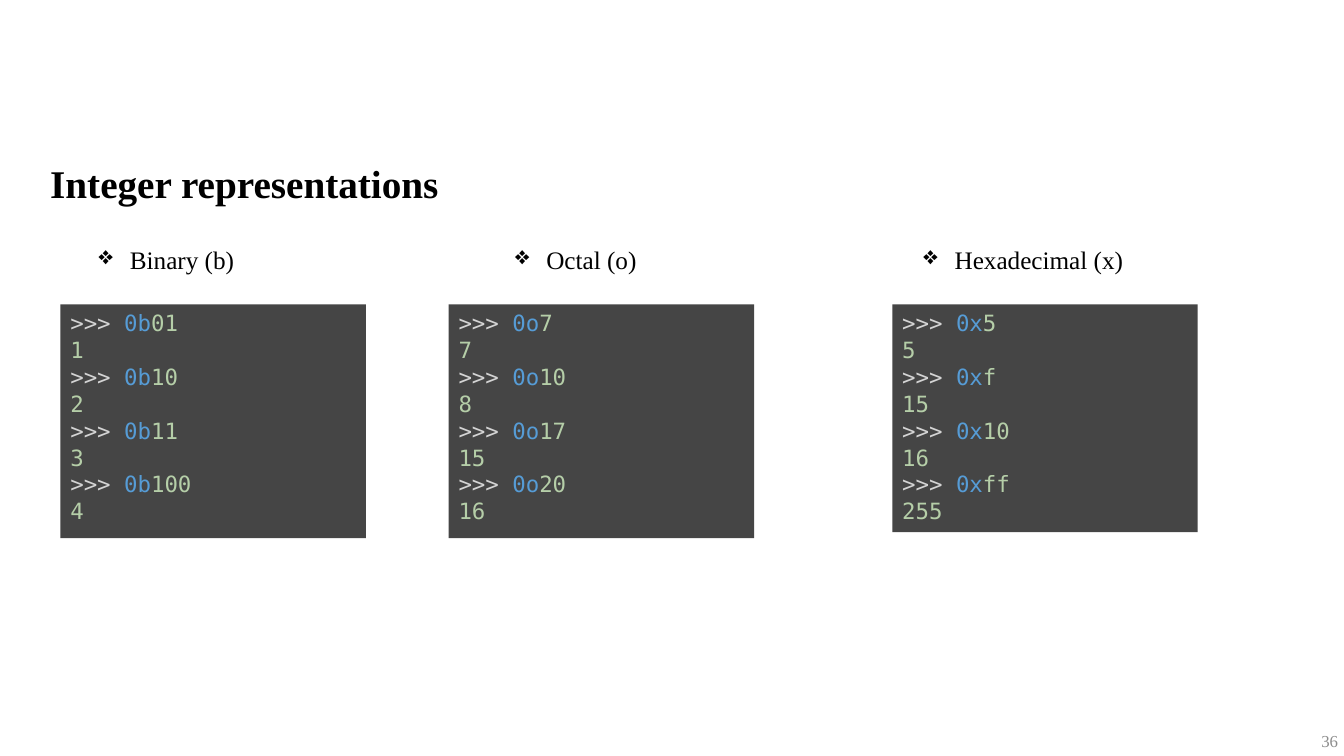
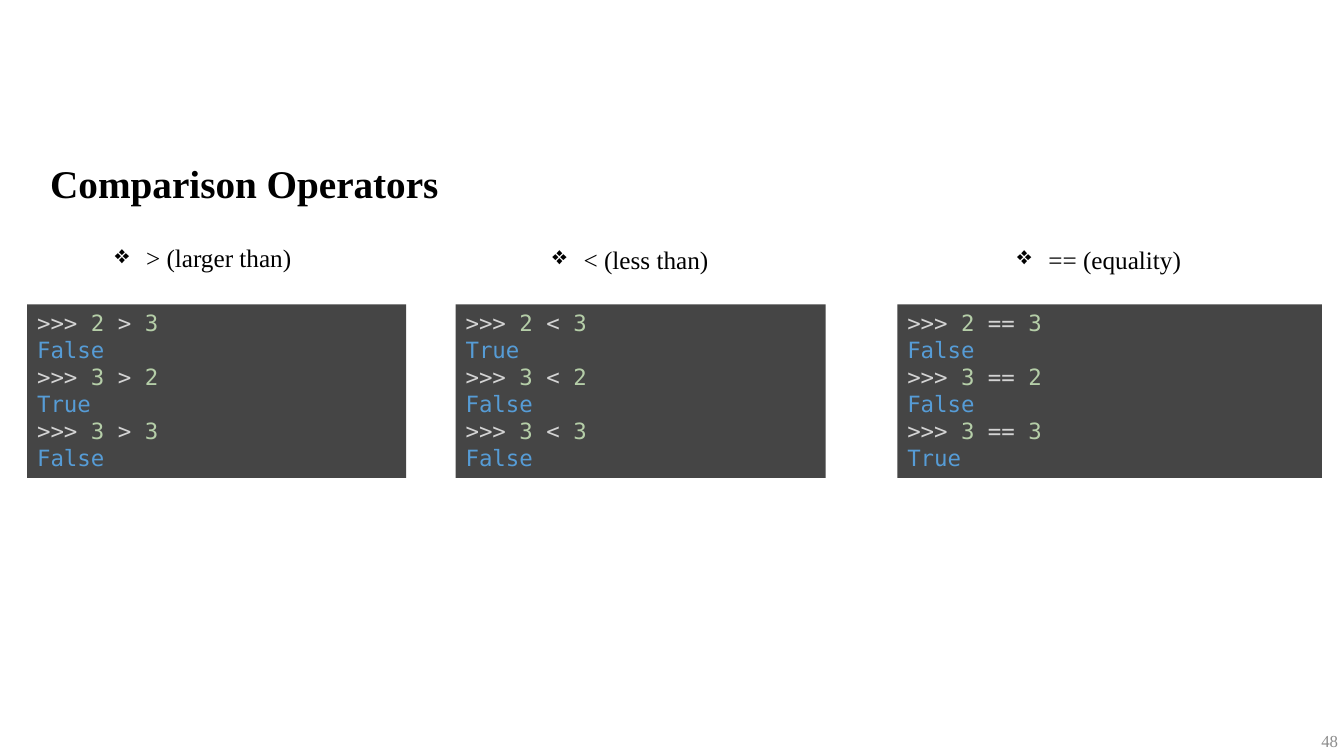
import pptx
import pptx.dml.color
import pptx.enum.shapes
import pptx.enum.text
import pptx.oxml
import pptx.oxml.ns
import pptx.util
from pptx.util import Inches

COLOURS = {
    "background": "FFFFFF",
    "text": "000000",
    "page": "8C8C8C",
    "panel": "454545",
    "plain": "D4D4D4",
    "keyword": "569CD6",
    "number": "B5CEA8",
}
SERIF = "Times New Roman"
MONO = "DejaVu Sans Mono"
BULLET_INDENT = Inches(0.31)
HEADING_HEIGHT = 0.4
PANEL_TOP = 3.02


def rgb(name):
    return pptx.dml.color.RGBColor.from_string(COLOURS[name])


def format_font(font, name, size, colour, bold=False):
    font.name = name
    font.size = pptx.util.Pt(size)
    font.color.rgb = rgb(colour)
    font.bold = bold


def add_text(slide, box, text, size, colour="text", bold=False):
    """Add a one-paragraph text box and return its text frame."""
    text_frame = slide.shapes.add_textbox(*map(Inches, box)).text_frame
    text_frame.word_wrap = True
    text_frame.text = text
    format_font(text_frame.paragraphs[0].runs[0].font, SERIF, size, colour, bold)
    return text_frame


def add_heading(slide, box, text):
    """Add a column heading with a diamond bullet."""
    paragraph = add_text(slide, box, text, 18).paragraphs[0]
    properties = paragraph._p.get_or_add_pPr()
    properties.set("marL", str(BULLET_INDENT))
    properties.set("indent", str(-BULLET_INDENT))
    bullet = pptx.oxml.parse_xml(
        f'<a:buChar {pptx.oxml.ns.nsdecls("a")} char="❖"/>')
    properties.append(bullet)


def add_code_panel(slide, box, lines):
    """Add a dark panel; each line is a list of (text, colour) tokens."""
    panel = slide.shapes.add_shape(
        pptx.enum.shapes.MSO_SHAPE.RECTANGLE, *map(Inches, box))
    panel.shadow.inherit = False
    panel.fill.solid()
    panel.fill.fore_color.rgb = rgb("panel")
    panel.line.fill.background()
    text_frame = panel.text_frame
    text_frame.word_wrap = True
    text_frame.vertical_anchor = pptx.enum.text.MSO_ANCHOR.TOP
    for index, tokens in enumerate(lines):
        paragraph = text_frame.add_paragraph() if index else text_frame.paragraphs[0]
        paragraph.alignment = pptx.enum.text.PP_ALIGN.LEFT
        for text, colour in tokens:
            run = paragraph.add_run()
            run.text = text
            format_font(run.font, MONO, 16, colour)


def integer_session(prefix, entries):
    """Turn (digits, value) pairs into prompt and result lines."""
    lines = []
    for digits, value in entries:
        lines.append([(">>> ", "plain"), (prefix, "keyword"), (digits, "number")])
        lines.append([(value, "number")])
    return lines


def comparison_session(operator, results):
    """Compare the same three pairs of numbers with one operator."""
    lines = []
    for (left, right), result in zip(("23", "32", "33"), results):
        lines.append([(">>> ", "plain"), (left, "number"),
                      (f" {operator} ", "plain"), (right, "number")])
        lines.append([(result, "keyword")])
    return lines


def add_code_slide(presentation, title, page, columns):
    """Add a titled slide with a heading and a code panel per column."""
    slide = presentation.slides.add_slide(presentation.slide_layouts[6])
    slide.background.fill.solid()
    slide.background.fill.fore_color.rgb = rgb("background")

    # Title
    add_text(slide, (0.4, 1.53, 6.67, 0.57), title, 28, bold=True)

    # Columns
    for heading, (left, top, width), (panel_left, panel_width, height), lines in columns:
        add_heading(slide, (left, top, width, HEADING_HEIGHT), heading)
        add_code_panel(slide, (panel_left, PANEL_TOP, panel_width, height), lines)

    # Page number
    footer = add_text(slide, (10.37, 7.15, 3, 0.4), page, 12, "page")
    footer.vertical_anchor = pptx.enum.text.MSO_ANCHOR.MIDDLE
    footer.paragraphs[0].alignment = pptx.enum.text.PP_ALIGN.RIGHT


# Per column: heading, heading (left, top, width), panel (left, width, height), code
INTEGER_COLUMNS = [
    ("Binary (b)", (0.88, 2.37, 1.95), (0.6, 3.03, 2.32), integer_session(
        "0b", [("01", "1"), ("10", "2"), ("11", "3"), ("100", "4")])),
    ("Octal (o)", (5.01, 2.37, 2.05), (4.45, 3.03, 2.32), integer_session(
        "0o", [("7", "7"), ("10", "8"), ("17", "15"), ("20", "16")])),
    ("Hexadecimal (x)", (9.06, 2.37, 2.36), (8.85, 3.03, 2.26), integer_session(
        "0x", [("5", "5"), ("f", "15"), ("10", "16"), ("ff", "255")])),
]
COMPARISON_COLUMNS = [
    ("> (larger than)", (1.04, 2.36, 2.41), (0.27, 3.76, 1.72),
     comparison_session(">", ["False", "True", "False"])),
    ("< (less than)", (5.38, 2.37, 1.92), (4.52, 3.67, 1.72),
     comparison_session("<", ["True", "False", "False"])),
    ("== (equality)", (9.99, 2.37, 2.04), (8.9, 4.21, 1.72),
     comparison_session("==", ["False", "False", "True"])),
]


def main():
    presentation = pptx.Presentation()
    presentation.slide_width = Inches(13.33)
    presentation.slide_height = Inches(7.5)
    add_code_slide(presentation, "Integer representations", "36", INTEGER_COLUMNS)
    add_code_slide(presentation, "Comparison Operators", "48", COMPARISON_COLUMNS)
    presentation.save("out.pptx")


if __name__ == "__main__":
    main()
